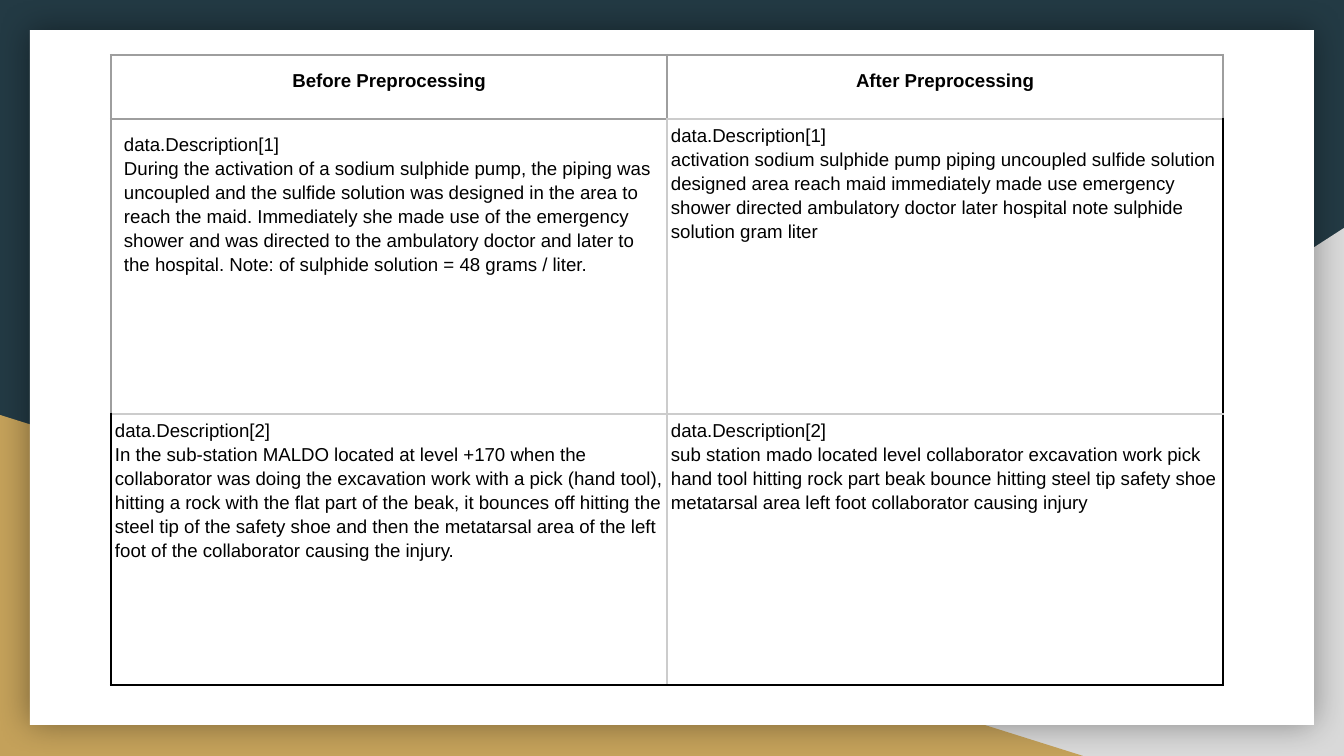
from dataclasses import dataclass

from lxml import etree
from pptx import Presentation
from pptx import util as u
from pptx.dml import color as clr
from pptx.enum import shapes, text
from pptx.oxml import ns

SCALE = 914400 / 134.4
HUES = {"navy": "233A44", "silver": "D9D9D9", "gold": "C4A15A", "white": "FFFFFF",
        "black": "000000", "gray": "9E9E9E", "pale": "CCCCCC"}
FONT = {"name": "Arial", "size": u.Pt(10)}
SIDES = ("lnL", "lnR", "lnT", "lnB")
COLS = (556, 556)
ROWS = (64, 295, 271)


@dataclass
class Panel:
    kind: int
    box: tuple[int, int, int, int]
    hue: str
    flip: bool = False
    glow: bool = False


@dataclass
class Entry:
    row: int
    col: int
    lines: tuple[str, ...]
    edges: tuple[str, str, str, str]
    pad: int = 4
    head: bool = False


TRI = shapes.MSO_SHAPE.RIGHT_TRIANGLE
PANELS = (
    Panel(TRI, (527, 228, 817, 528), "silver", flip=True),
    Panel(TRI, (0, 415, 1083, 341), "gold"),
    Panel(shapes.MSO_SHAPE.RECTANGLE, (30, 30, 1284, 695), "white", glow=True),
)
ENTRIES = (
    Entry(0, 0, ("Before Preprocessing",), ("gray",) * 4, 13, True),
    Entry(0, 1, ("After Preprocessing",), ("gray", "gray", "gray", "pale"), 13, True),
    Entry(1, 0, (
        "data.Description[1]",
        "During the activation of a sodium sulphide pump, the piping was uncoupled and the "
        "sulfide solution was designed in the area to reach the maid. Immediately she made use "
        "of the emergency shower and was directed to the ambulatory doctor and later to the "
        "hospital. Note: of sulphide solution = 48 grams / liter.",
    ), ("gray", "pale", "gray", "pale"), 13),
    Entry(1, 1, (
        "data.Description[1]",
        "activation sodium sulphide pump piping uncoupled sulfide solution designed area reach "
        "maid immediately made use emergency shower directed ambulatory doctor later hospital "
        "note sulphide solution gram liter",
    ), ("pale", "black", "pale", "pale")),
    Entry(2, 0, (
        "data.Description[2]",
        "In the sub-station MALDO located at level +170 when the collaborator was doing the "
        "excavation work with a pick (hand tool), hitting a rock with the flat part of the beak, "
        "it bounces off hitting the steel tip of the safety shoe and then the metatarsal area of "
        "the left foot of the collaborator causing the injury.",
    ), ("black", "pale", "pale", "black")),
    Entry(2, 1, (
        "data.Description[2]",
        "sub station mado located level collaborator excavation work pick hand tool hitting rock "
        "part beak bounce hitting steel tip safety shoe metatarsal area left foot collaborator "
        "causing injury",
    ), ("pale", "black", "pale", "black")),
)


def px(num: int) -> u.Emu:
    return u.Emu(round(num * SCALE))


def rgb(hue: str) -> clr.RGBColor:
    return clr.RGBColor.from_string(HUES[hue])


def add(node, tag: str, **attrs: str):
    return etree.SubElement(node, ns.qn(f"a:{tag}"), attrs)


def paint(fill, hue: str) -> None:
    fill.solid()
    fill.fore_color.rgb = rgb(hue)


def draw_panel(slide, panel: Panel) -> None:
    shape = slide.shapes.add_shape(panel.kind, *map(px, panel.box))
    shape.shadow.inherit = False
    paint(shape.fill, panel.hue)
    shape.line.fill.background()
    props = shape.element.spPr
    if panel.flip:
        props.find(ns.qn("a:xfrm")).set("flipH", "1")
    if panel.glow:
        glow = add(props.find(ns.qn("a:effectLst")), "outerShdw",
                   blurRad=str(u.Pt(18)), dist="0", dir="0", algn="ctr", rotWithShape="0")
        add(add(glow, "srgbClr", val=HUES["black"]), "alpha", val="40000")


def draw_edges(cell, edges: tuple[str, str, str, str]) -> None:
    props = cell._tc.get_or_add_tcPr()
    for side, hue in zip(SIDES, edges):
        line = add(props, side, w=str(u.Pt(1.5)), cap="flat", cmpd="sng")
        add(add(line, "solidFill"), "srgbClr", val=HUES[hue])
        add(line, "prstDash", val="solid")


def draw_entry(table, entry: Entry) -> None:
    cell = table.cell(entry.row, entry.col)
    draw_edges(cell, entry.edges)
    cell.fill.background()
    for side in ("left", "right", "top", "bottom"):
        setattr(cell, f"margin_{side}", px(entry.pad))
    cell.vertical_anchor = text.MSO_ANCHOR.TOP
    frame = cell.text_frame
    frame.text = "\n".join(entry.lines)
    align = text.PP_ALIGN.CENTER if entry.head else text.PP_ALIGN.LEFT
    for para in frame.paragraphs:
        for key, val in {"alignment": align, "line_spacing": 1.15}.items():
            setattr(para, key, val)
        font = para.runs[0].font
        for key, val in {**FONT, "bold": entry.head}.items():
            setattr(font, key, val)
        font.color.rgb = rgb("black")


def draw_table(slide) -> None:
    table = slide.shapes.add_table(len(ROWS), len(COLS), px(111), px(55),
                                   px(sum(COLS)), px(sum(ROWS))).table
    for key in ("first_row", "horz_banding"):
        setattr(table, key, False)
    for col, wide in zip(table.columns, COLS):
        col.width = px(wide)
    for row, high in zip(table.rows, ROWS):
        row.height = px(high)
    for entry in ENTRIES:
        draw_entry(table, entry)


def main() -> None:
    deck = Presentation()
    deck.slide_width, deck.slide_height = px(1344), px(756)
    slide = deck.slides.add_slide(deck.slide_layouts[6])
    paint(slide.background.fill, "navy")
    for panel in PANELS:
        draw_panel(slide, panel)
    draw_table(slide)
    deck.save("out.pptx")


if __name__ == "__main__":
    main()
